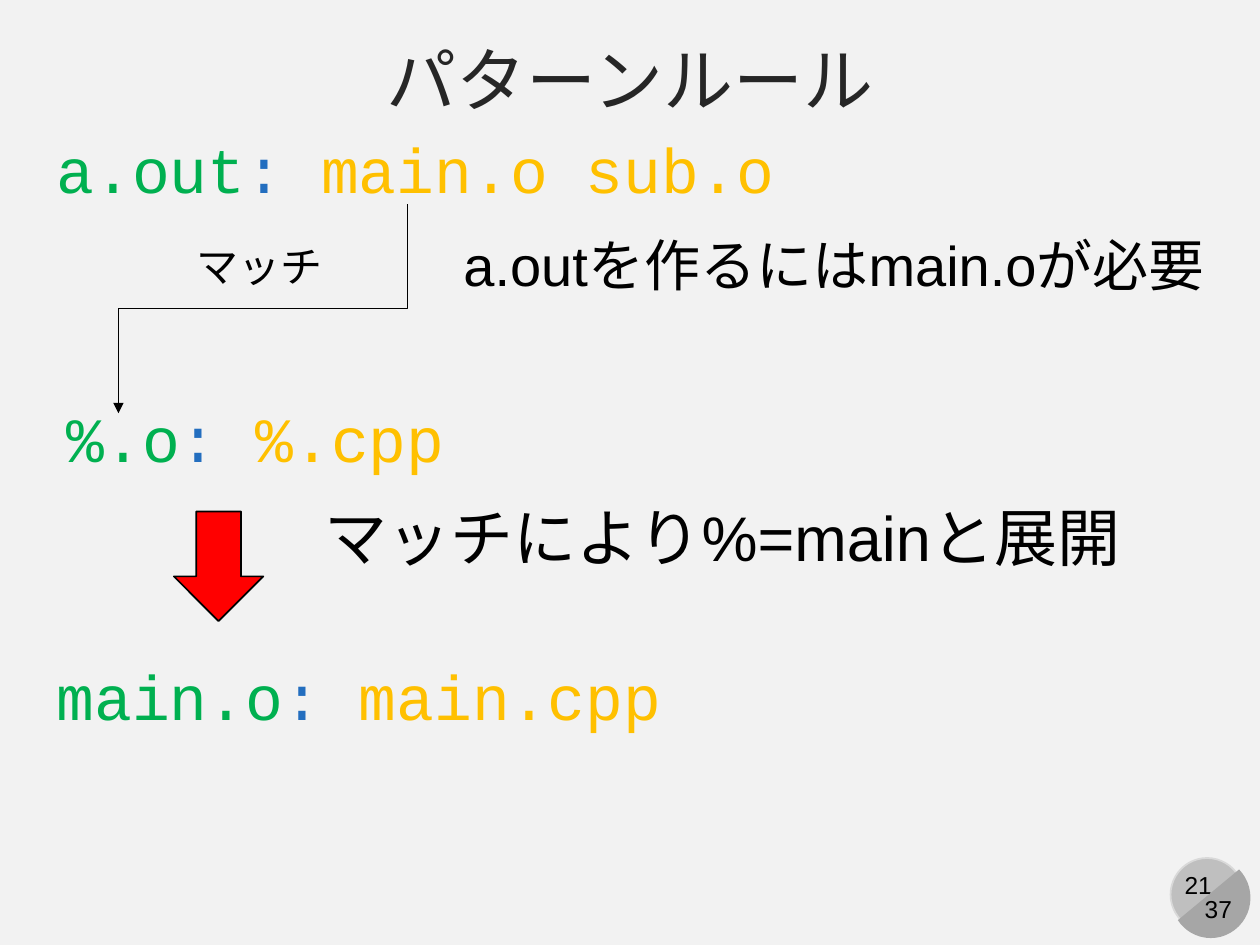
from dataclasses import dataclass

from lxml import etree
from pptx import Presentation
from pptx import util as u
from pptx.dml.color import RGBColor
from pptx.enum import shapes, text
from pptx.oxml.ns import qn


@dataclass(frozen=True)
class Theme:
    background: str = "F2F2F2"
    ink: str = "000000"
    heading: str = "262626"
    target: str = "00B050"
    colon: str = "236EBF"
    source: str = "FFC000"
    arrow: str = "FF0000"
    badge: str = "BFBFBF"
    badge_edge: str = "D9D9D9"
    badge_shade: str = "A6A6A6"
    sans: str = "Arial"
    mono: str = "Courier New"
    title: int = 40
    code: int = 36
    note: int = 32
    label: int = 24
    number: int = 14


def write(paragraph, words, *, font, size, color):
    run = paragraph.add_run()
    run.text = words
    run.font.name = font
    run.font.size = u.Pt(size)
    run.font.color.rgb = RGBColor.from_string(color)


class Board:
    COLUMNS, ROWS = 100, 75

    def __init__(self, deck, theme):
        self.theme = theme
        self.cell_width = deck.slide_width / self.COLUMNS
        self.cell_height = deck.slide_height / self.ROWS
        self.slide = deck.slides.add_slide(deck.slide_layouts[6])
        fill = self.slide.background.fill
        fill.solid()
        fill.fore_color.rgb = RGBColor.from_string(theme.background)

    def place(self, column, row):
        return round(column * self.cell_width), round(row * self.cell_height)

    def frame(self, column, row, columns, rows):
        return *self.place(column, row), *self.place(columns, rows)

    def words(self, area, pieces, *, size, font=None, wrap=True,
              align=text.PP_ALIGN.LEFT, anchor=text.MSO_ANCHOR.TOP):
        body = self.slide.shapes.add_textbox(*self.frame(*area)).text_frame
        body.word_wrap = wrap
        body.vertical_anchor = anchor
        paragraph = body.paragraphs[0]
        paragraph.alignment = align
        for piece, color in pieces:
            write(paragraph, piece, font=font or self.theme.sans,
                  size=size, color=color)

    def rule(self, area, target, source):
        t = self.theme
        pieces = [(target, t.target), (": ", t.colon), (source, t.source)]
        self.words(area, pieces, size=t.code, font=t.mono)

    def note(self, area, words, size, **layout):
        self.words(area, [(words, self.theme.ink)], size=size, **layout)

    def shape(self, kind, area, fill, edge=None):
        shape = self.slide.shapes.add_shape(kind, *self.frame(*area))
        shape.shadow.inherit = False
        shape.fill.solid()
        shape.fill.fore_color.rgb = RGBColor.from_string(fill)
        if edge:
            shape.line.color.rgb = RGBColor.from_string(edge)
            shape.line.width = u.Pt(1)
        else:
            shape.line.fill.background()
        return shape

    def drop_elbow(self, start, end):
        (x1, y1), (x2, y2) = self.place(*start), self.place(*end)
        middle_x, middle_y = (x1 + x2) // 2, (y1 + y2) // 2
        half_drop, half_shift = (y2 - y1) // 2, (x1 - x2) // 2
        elbow = self.slide.shapes.add_connector(
            shapes.MSO_CONNECTOR.ELBOW,
            middle_x - half_drop, middle_y - half_shift,
            middle_x + half_drop, middle_y + half_shift)
        elbow.line.color.rgb = RGBColor.from_string(self.theme.ink)
        elbow.line.width = u.Pt(0.5)
        properties = elbow._element.spPr
        properties.find(qn("a:xfrm")).set("rot", str(90 * 60000))
        line = properties.find(qn("a:ln"))
        etree.SubElement(line, qn("a:tailEnd"), type="triangle")
        etree.SubElement(properties, qn("a:effectLst"))

    def page_badge(self, page, total):
        t, kinds = self.theme, shapes.MSO_SHAPE
        center = text.PP_ALIGN.CENTER
        self.shape(kinds.OVAL, (92.9, 68.1, 5.8, 5.8), t.badge, t.badge_edge)
        self.note((92.9, 68.6, 4.4, 3.4), page, t.number,
                  wrap=False, align=center)
        shade = self.shape(kinds.CHORD, (92.9, 68.1, 6.4, 6.3), t.badge_shade)
        shade.rotation = 270
        shade.adjustments[0] = 27
        shade.adjustments[1] = 141.42
        self.note((94, 70.5, 5.4, 3.4), total, t.number, align=center)


def main():
    deck = Presentation()
    deck.slide_width, deck.slide_height = u.Inches(10), u.Inches(7.5)
    theme = Theme()
    board = Board(deck, theme)

    board.page_badge("21", "37")
    board.words((0, 2.1, 100, 8.2), [("パターンルール", theme.heading)],
                size=theme.title, align=text.PP_ALIGN.CENTER,
                anchor=text.MSO_ANCHOR.MIDDLE)

    board.rule((4.3, 31.2, 48.8, 7.1), "%.o", "%.cpp")
    board.rule((3.5, 9.9, 60.4, 7.1), "a.out", "main.o sub.o")
    board.note((35.8, 17.8, 61.3, 6.4), "a.outを作るにはmain.oが必要",
               theme.note)
    board.drop_elbow((32.3, 16.2), (9.4, 32.8))
    board.note((14.6, 18.6, 12.1, 5), "マッチ", theme.label, wrap=False)

    board.note((24.8, 39.1, 65.8, 7.1), "マッチにより%=mainと展開",
               theme.code)
    board.shape(shapes.MSO_SHAPE.DOWN_ARROW, (13.8, 40.6, 7.1, 8.7),
                theme.arrow, theme.ink)
    board.rule((3.5, 51.7, 58.3, 7.1), "main.o", "main.cpp")

    deck.save("out.pptx")


if __name__ == "__main__":
    main()
